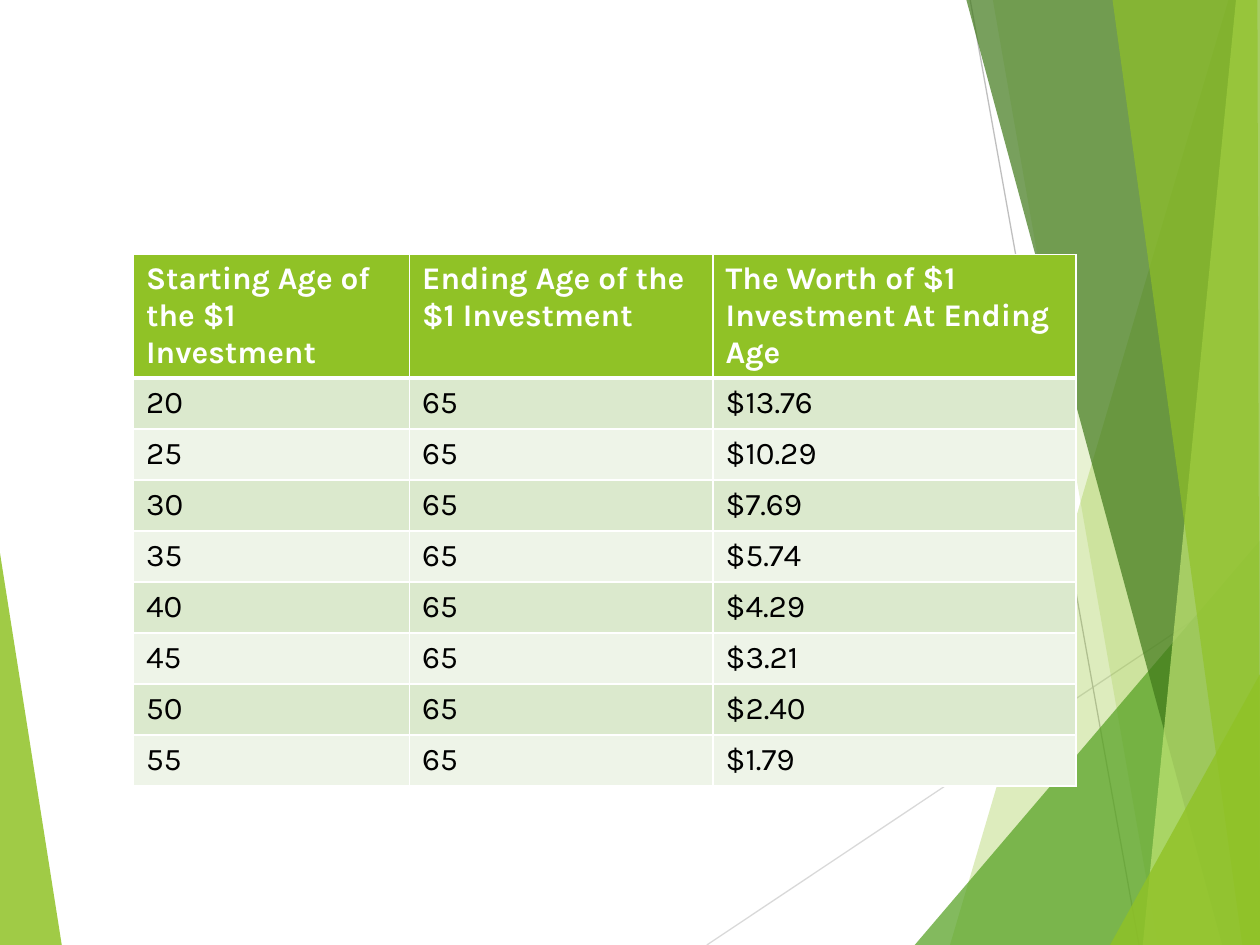
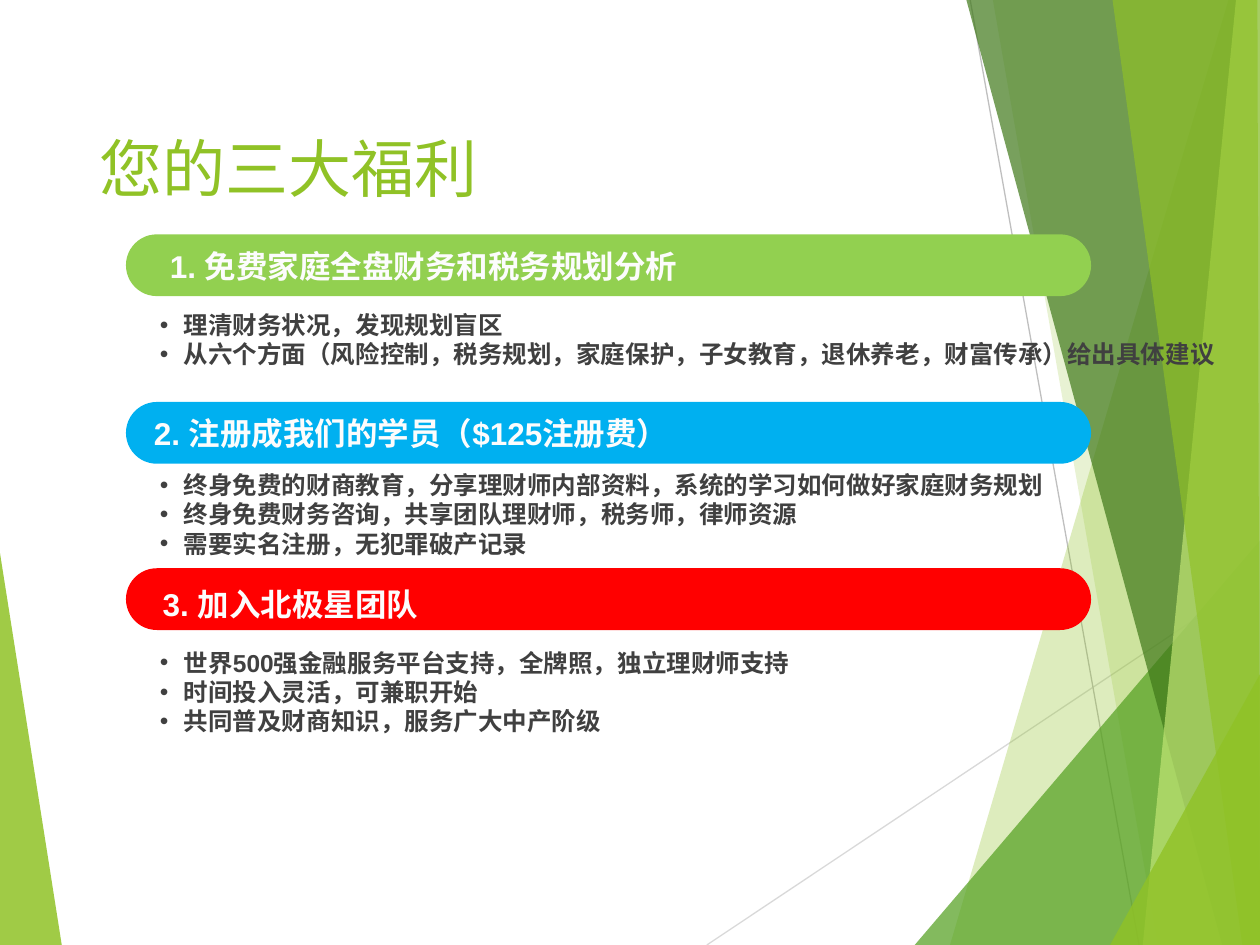
from lxml.etree import SubElement as Sub
from pptx import Presentation
from pptx.dml.color import RGBColor
from pptx.enum.shapes import MSO_CONNECTOR as Conn, MSO_SHAPE as Shape
from pptx.enum.text import MSO_ANCHOR as Anchor, MSO_AUTO_SIZE as Auto, PP_ALIGN as Align
from pptx.oxml.ns import qn
from pptx.util import Pt

SCALE = 9144  # EMU per px, 100 px to the inch
WIDE, HIGH = 1000, 750
GREEN, WHITE, INK = "90C226", "FFFFFF", "404040"
BANDS = ("DBE9CD", "EEF4E8")

# Backdrop: outline, colour, opacity in percent
LEAF = ([(0, 439), (49, 750), (0, 750)], GREEN, 85)
RAYS = [((561, 750), (1000, 457), "D9D9D9"), ((770, 0), (904, 750), "BFBFBF")]
SHARDS = [
    ([(975, 0), (754, 750), (1000, 750), (1000, 0)], GREEN, 30),
    ([(788, 0), (919, 750), (1000, 750), (1000, 0)], GREEN, 20),
    ([(726, 750), (1000, 429), (1000, 750)], "54A021", 72),
    ([(767, 0), (970, 750), (1000, 750), (1000, 0)], "3F7819", 70),
    ([(981, 0), (907, 750), (1000, 750), (1000, 0)], "C0E474", 70),
    ([(883, 0), (986, 750), (1000, 750), (998, 0)], GREEN, 65),
    ([(881, 750), (1000, 535), (1000, 750)], GREEN, 80),
]

HEADS = ["Starting Age of the $1 Investment", "Ending Age of the $1 Investment",
         "The Worth of $1 Investment At Ending Age"]
WORTH = ["$13.76", "$10.29", "$7.69", "$5.74", "$4.29", "$3.21", "$2.40", "$1.79"]

# Benefits: bar top, bar colour, label, label box, label inset, points, points box
PERKS = [
    (186, "92D050", "1. 免费家庭全盘财务和税务规划分析", (125, 194, 708, 34), 10,
     ["理清财务状况，发现规划盲区",
      "从六个方面（风险控制，税务规划，家庭保护，子女教育，退休养老，财富传承）给出具体建议"],
     (117, 241, 880, 57)),
    (319, "00B0F0", "2. 注册成我们的学员（$125注册费）", None, 15,
     ["终身免费的财商教育，分享理财师内部资料，系统的学习如何做好家庭财务规划",
      "终身免费财务咨询，共享团队理财师，税务师，律师资源",
      "需要实名注册，无犯罪破产记录"],
     (117, 368, 825, 81)),
    (451, "FF0000", "3. 加入北极星团队", (122, 462, 491, 34), 7,
     ["世界500强金融服务平台支持，全牌照，独立理财师支持",
      "时间投入灵活，可兼职开始",
      "共同普及财商知识，服务广大中产阶级"],
     (117, 509, 521, 128)),
]


def px(num):
    return round(num * SCALE)


def rgb(code):
    return RGBColor.from_string(code)


def paint(part, code, alpha=100):
    part.fill.solid()
    part.fill.fore_color.rgb = rgb(code)
    part.line.fill.background()
    part.shadow.inherit = False
    if alpha < 100:
        tone = part.fill._xPr.find(".//" + qn("a:srgbClr"))
        Sub(tone, qn("a:alpha"), val=str(alpha * 1000))


def write(frame, text, size=18, color=INK, bold=False, font="Arial", bullet=False):
    """Fill a text frame, one paragraph for each line of text."""
    frame.word_wrap = True
    for i, line in enumerate(text.split("\n")):
        para = frame.add_paragraph() if i else frame.paragraphs[0]
        para.alignment = Align.LEFT
        if bullet:
            props = para._p.get_or_add_pPr()
            props.set("marL", str(px(19)))
            props.set("indent", str(px(-19)))
            Sub(props, qn("a:buFont"), typeface="Arial")
            Sub(props, qn("a:buChar"), char="•")
        run = para.add_run()
        run.text = line
        face = run.font
        face.name, face.size, face.bold = font, Pt(size), bold
        face.color.rgb = rgb(color)


def add_box(slide, box):
    return slide.shapes.add_textbox(*map(px, box))


def add_shard(slide, points, code, alpha):
    pen = slide.shapes.build_freeform(*points[0], scale=SCALE)
    pen.add_line_segments(points[1:])
    paint(pen.convert_to_shape(), code, alpha)


def add_ray(slide, start, end, code):
    ray = slide.shapes.add_connector(Conn.STRAIGHT, *map(px, start + end))
    ray.line.color.rgb = rgb(code)
    ray.line.width = Pt(0.75)
    Sub(ray._element.spPr, qn("a:effectLst"))


def add_backdrop(slide):
    add_shard(slide, *LEAF)
    for ray in RAYS:
        add_ray(slide, *ray)
    for shard in SHARDS:
        add_shard(slide, *shard)


def edge(cell, base):
    """White cell borders; base is the width of the lower one."""
    props = cell._tc.get_or_add_tcPr()
    for side, width in (("L", 1), ("R", 1), ("T", 1), ("B", base)):
        line = Sub(props, qn("a:ln" + side), w=str(Pt(width)))
        Sub(Sub(line, qn("a:solidFill")), qn("a:srgbClr"), val=WHITE)


def add_worth(slide, box, widths, head):
    """Table of what one dollar grows to by age 65."""
    rows = [HEADS] + [[str(20 + 5 * i), "65", sum_] for i, sum_ in enumerate(WORTH)]
    table = slide.shapes.add_table(len(rows), len(HEADS), *map(px, box)).table
    for col, width in zip(table.columns, widths):
        col.width = px(width)
    for r, row in enumerate(rows):
        table.rows[r].height = px((box[3] - head) / len(WORTH) if r else head)
        for c, text in enumerate(row):
            cell = table.cell(r, c)
            edge(cell, 1 if r else 3)
            cell.fill.solid()
            cell.fill.fore_color.rgb = rgb(BANDS[(r - 1) % 2] if r else GREEN)
            write(cell.text_frame, text, color="000000" if r else WHITE,
                  bold=not r, font="Karla")


def add_title(slide, text, box):
    title = slide.shapes.title
    title.left, title.top, title.width, title.height = map(px, box)
    frame = title.text_frame
    frame.auto_size = Auto.NONE
    frame.vertical_anchor = Anchor.TOP
    write(frame, text, size=36, color=GREEN)


def add_perk(slide, box, code, label, spot, inset, points, area):
    """Coloured bar with its label, and the points below it."""
    bar = slide.shapes.add_shape(Shape.ROUNDED_RECTANGLE, *map(px, box))
    bar.adjustments[0] = 0.5
    paint(bar, code)
    frame = (add_box(slide, spot) if spot else bar).text_frame
    frame.vertical_anchor = Anchor.MIDDLE
    frame.margin_left = px(inset)
    frame.margin_top = frame.margin_right = frame.margin_bottom = 0
    write(frame, label, color="FCFCFC", bold=True)
    write(add_box(slide, area).text_frame, "\n".join(points), size=14,
          bold=True, bullet=True)


def worth_slide(deck):
    slide = deck.slides.add_slide(deck.slide_layouts[6])
    add_backdrop(slide)
    add_worth(slide, (106, 202, 748, 422), (219, 241, 288), 98)


def perk_slide(deck):
    slide = deck.slides.add_slide(deck.slide_layouts[5])
    add_backdrop(slide)
    add_title(slide, "您的三大福利", (69, 98, 862, 109))
    for top, *rest in PERKS:
        add_perk(slide, (100, top, 766, 49), *rest)


def main():
    deck = Presentation()
    deck.slide_width, deck.slide_height = px(WIDE), px(HIGH)
    worth_slide(deck)
    perk_slide(deck)
    deck.save("out.pptx")


if __name__ == "__main__":
    main()
